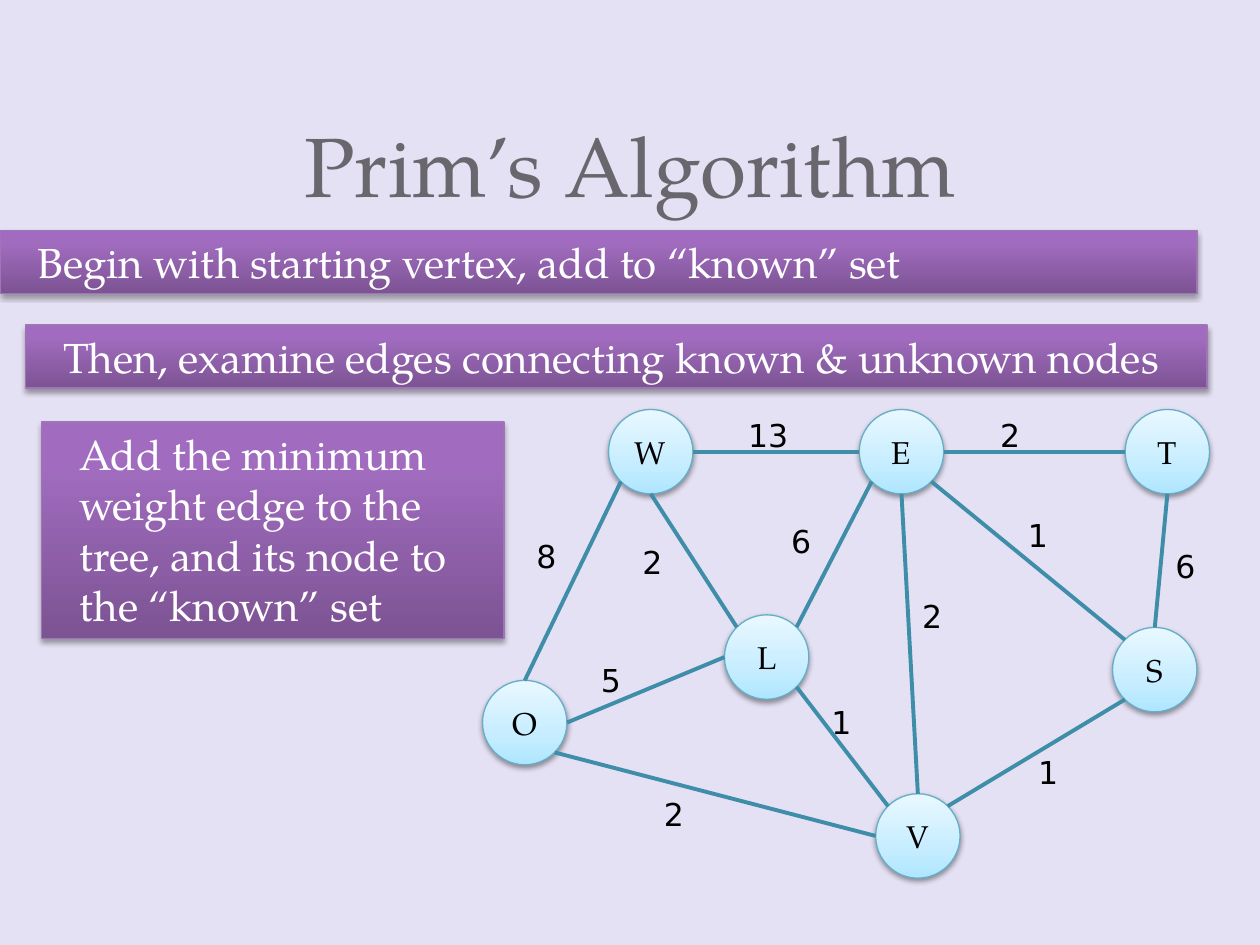
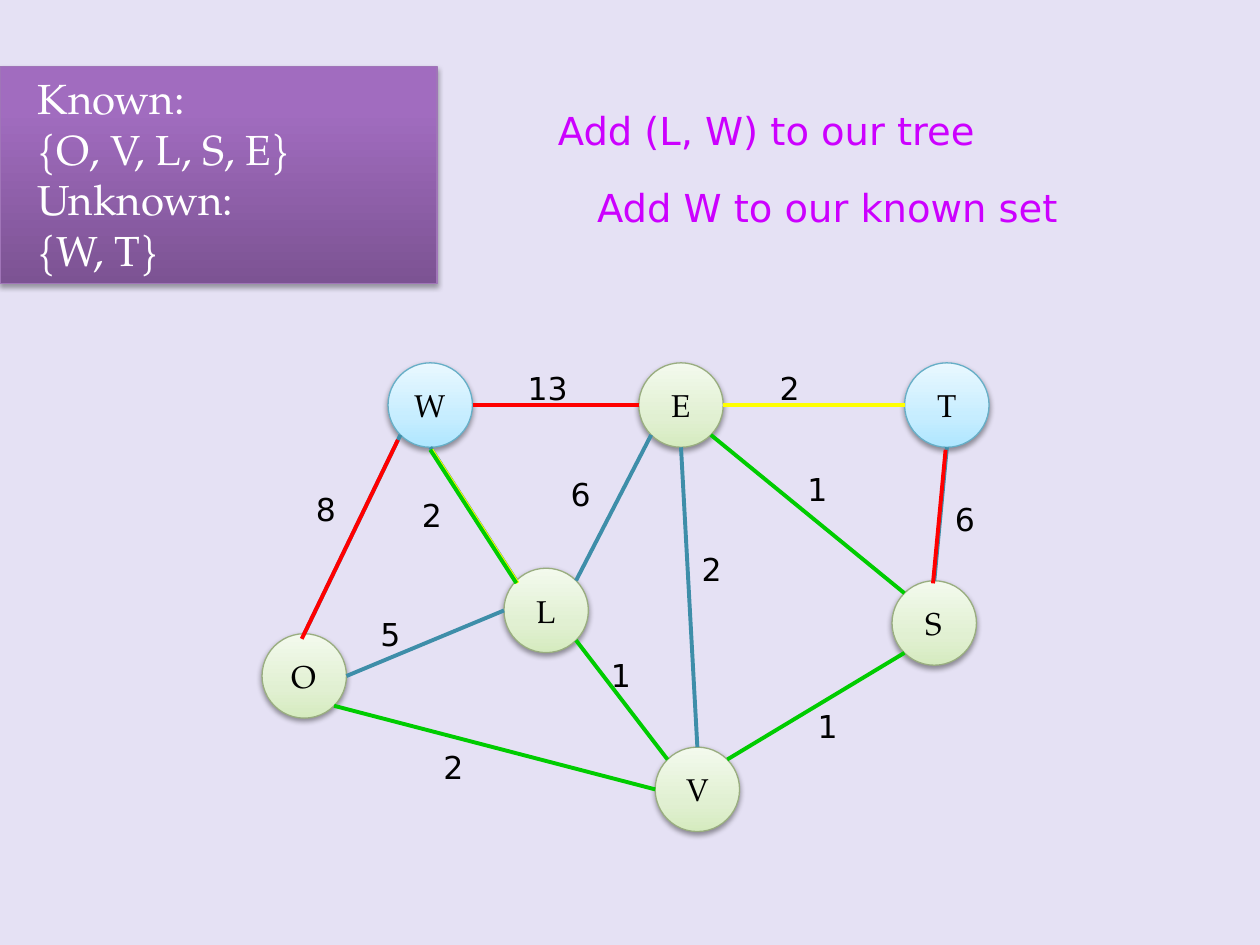
import copy
import pptx
import pptx.util
import pptx.dml.color
import pptx.enum.shapes
import pptx.enum.text
import pptx.oxml
import pptx.oxml.ns

Inches, Pt = pptx.util.Inches, pptx.util.Pt
SHAPE = pptx.enum.shapes.MSO_SHAPE
ALIGN = pptx.enum.text.PP_ALIGN
ANCHOR = pptx.enum.text.MSO_ANCHOR
qn = pptx.oxml.ns.qn
SPACE = pptx.oxml.ns.nsdecls("a")

SERIF, SANS = "TeX Gyre Pagella", "DejaVu Sans"
PAPER, GREY, WHITE, BLACK, PINK = "E5E1F4", "69676D", "FFFFFF", "000000", "CC00FF"
TEAL, RED, YELLOW, GREEN = "3E8EA9", "FF0000", "FFFF00", "00CC00"

# line colour, gradient stops from the bottom up, shadow (opacity %, distance pt)
BAR = ("A075B8", [(0, "7C5393"), (0.8, "A16CBF"), (1, "A26BC1")], (35, 1.8))
BLUE = ("66AEC7", [(0, "AEE6FF"), (0.35, "C6EDFF"), (1, "E9F8FF")], (38, 1.6))
LEAF = ("99AD80", [(0, "D5EBBF"), (0.35, "E1F0D2"), (1, "F3FAED")], (38, 1.6))

STEPS = [
    ((0, 1.83, 9.5, 0.5), ["Begin with starting vertex, add to “known” set"]),
    ((0.2, 2.58, 9.38, 0.5), ["Then, examine edges connecting known & unknown nodes"]),
    ((0.33, 3.35, 3.67, 1.72),
     ["Add the minimum weight edge to the tree, and its node to the “known” set"]),
]
SETS = ((0, 0.53, 3.47, 1.72), ["Known:", "{O, V, L, S, E}", "Unknown:", "{W, T}"])
MOVES = [
    ((4.33, 0.8, 3.8, 0.47), "Add (L, W) to our tree"),
    ((4.64, 1.41, 4.11, 0.47), "Add W to our known set"),
]

SIZE = 0.67
NODES = {"W": (4.83, 3.25), "E": (6.82, 3.25), "T": (8.93, 3.25), "S": (8.83, 4.98),
         "V": (6.95, 6.3), "L": (5.75, 4.88), "O": (3.83, 5.4)}
# edge: side of each end, weight, place of the weight
EDGES = {
    "WE": ("r", "l", "13", (5.84, 3.25)),
    "ET": ("r", "l", "2", (7.84, 3.25)),
    "WO": ("bl", "t", "8", (4.16, 4.21)),
    "WL": ("b", "tl", "2", (5, 4.26)),
    "LE": ("tr", "bl", "6", (6.18, 4.09)),
    "VE": ("t", "b", "2", (7.22, 4.69)),
    "SE": ("tl", "br", "1", (8.06, 4.05)),
    "TS": ("b", "t", "6", (9.23, 4.29)),
    "OL": ("r", "l", "5", (4.67, 5.2)),
    "OV": ("br", "l", "2", (5.17, 6.26)),
    "VL": ("tl", "br", "1", (6.5, 5.53)),
    "SV": ("bl", "tr", "1", (8.14, 5.93)),
}
KNOWN = "OVLSE"
TINTS = {"WE": RED, "ET": YELLOW, "SE": GREEN, "SV": GREEN, "OV": GREEN, "VL": GREEN}
SHIFT = (-1.75, -0.37)
# strokes laid over an edge, a little off it
MARKS = [("WO", RED, -0.02, 0.04), ("TS", RED, -0.01, 0.02),
         ("WL", YELLOW, 0.01, 0.02), ("WL", GREEN, 0, 0.02)]


def rgb(code):
    return pptx.dml.color.RGBColor.from_string(code)


def write(shape, lines, size, font, tint, align=ALIGN.LEFT, anchor=ANCHOR.TOP, lead=None):
    frame = shape.text_frame
    frame.word_wrap = True
    frame.vertical_anchor = anchor
    for i, line in enumerate(lines):
        para = frame.add_paragraph() if i else frame.paragraphs[0]
        para.alignment = align
        if lead:
            para.line_spacing = Pt(lead)
        run = para.add_run()
        run.text = line
        run.font.size, run.font.name = Pt(size), font
        run.font.color.rgb = rgb(tint)


def label(slide, box, text, size, font, tint, **more):
    write(slide.shapes.add_textbox(*map(Inches, box)), [text], size, font, tint, **more)


def solid(slide, kind, box, style):
    """Add a shape with a gradient, a thin line and a soft shadow below."""
    edge, stops, (alpha, dist) = style
    shape = slide.shapes.add_shape(kind, *map(Inches, box))
    shape.fill.gradient()
    shape.fill.gradient_angle = 90
    props = shape._element.spPr
    row = props.find(".//" + qn("a:gsLst"))
    row.append(copy.deepcopy(row[-1]))
    for stop, (place, tint) in zip(shape.fill.gradient_stops, stops):
        stop.position = place
        stop.color.rgb = rgb(tint)
    shape.line.color.rgb = rgb(edge)
    shape.line.width = Pt(0.75)
    shape.shadow.inherit = False
    props.find(qn("a:effectLst")).append(pptx.oxml.parse_xml(
        f'<a:outerShdw {SPACE} blurRad="{Pt(3.1)}" dist="{Pt(dist)}" '
        f'dir="5400000" rotWithShape="0"><a:srgbClr val="000000">'
        f'<a:alpha val="{alpha * 1000}"/></a:srgbClr></a:outerShdw>'))
    return shape


def panel(slide, box, lines):
    shape = solid(slide, SHAPE.RECTANGLE, box, BAR)
    shape.text_frame.margin_left = Inches(0.3)
    write(shape, lines, 24, SERIF, WHITE)


def port(node, side):
    """Return the point of a node's circle on a side such as "t" or "bl"."""
    reach = SIZE / 2 * (1 if len(side) == 1 else 0.5 ** 0.5)
    x, y = (v + SIZE / 2 for v in NODES[node])
    return (x + reach * (("r" in side) - ("l" in side)),
            y + reach * (("b" in side) - ("t" in side)))


def stroke(slide, edge, tint, dx, dy):
    ends = [v + d for node, side in zip(edge, EDGES[edge])
            for v, d in zip(port(node, side), (dx, dy))]
    line = slide.shapes.add_connector(
        pptx.enum.shapes.MSO_CONNECTOR.STRAIGHT, *map(Inches, ends))
    line.line.color.rgb = rgb(tint)
    line.line.width = Pt(2.25)
    line._element.spPr.append(pptx.oxml.parse_xml(f"<a:effectLst {SPACE}/>"))


def graph(slide, dx=0, dy=0, known="", tints={}):
    for name, (x, y) in NODES.items():
        style = LEAF if name in known else BLUE
        disc = solid(slide, SHAPE.OVAL, (x + dx, y + dy, SIZE, SIZE), style)
        write(disc, [name], 18, SERIF, BLACK, ALIGN.CENTER, ANCHOR.MIDDLE)
    for edge in EDGES:
        stroke(slide, edge, tints.get(edge, TEAL), dx, dy)
    for *_, weight, (x, y) in EDGES.values():
        label(slide, (x + dx, y + dy, 0.77, 0.4), weight, 18, SANS, BLACK)


def start(deck):
    slide = deck.slides.add_slide(deck.slide_layouts[6])
    slide.background.fill.solid()
    slide.background.fill.fore_color.rgb = rgb(PAPER)
    return slide


def main():
    deck = pptx.Presentation()
    deck.slide_width, deck.slide_height = Inches(10), Inches(7.5)

    slide = start(deck)
    label(slide, (0.5, 0, 9, 1.75), "Prim’s Algorithm", 48, SERIF, GREY,
          align=ALIGN.CENTER, anchor=ANCHOR.BOTTOM, lead=58)
    graph(slide)
    for box, lines in STEPS:
        panel(slide, box, lines)

    slide = start(deck)
    graph(slide, *SHIFT, KNOWN, TINTS)
    panel(slide, *SETS)
    for edge, tint, dx, dy in MARKS:
        stroke(slide, edge, tint, SHIFT[0] + dx, SHIFT[1] + dy)
    for box, text in MOVES:
        label(slide, box, text, 22, SANS, PINK)

    deck.save("out.pptx")


if __name__ == "__main__":
    main()
